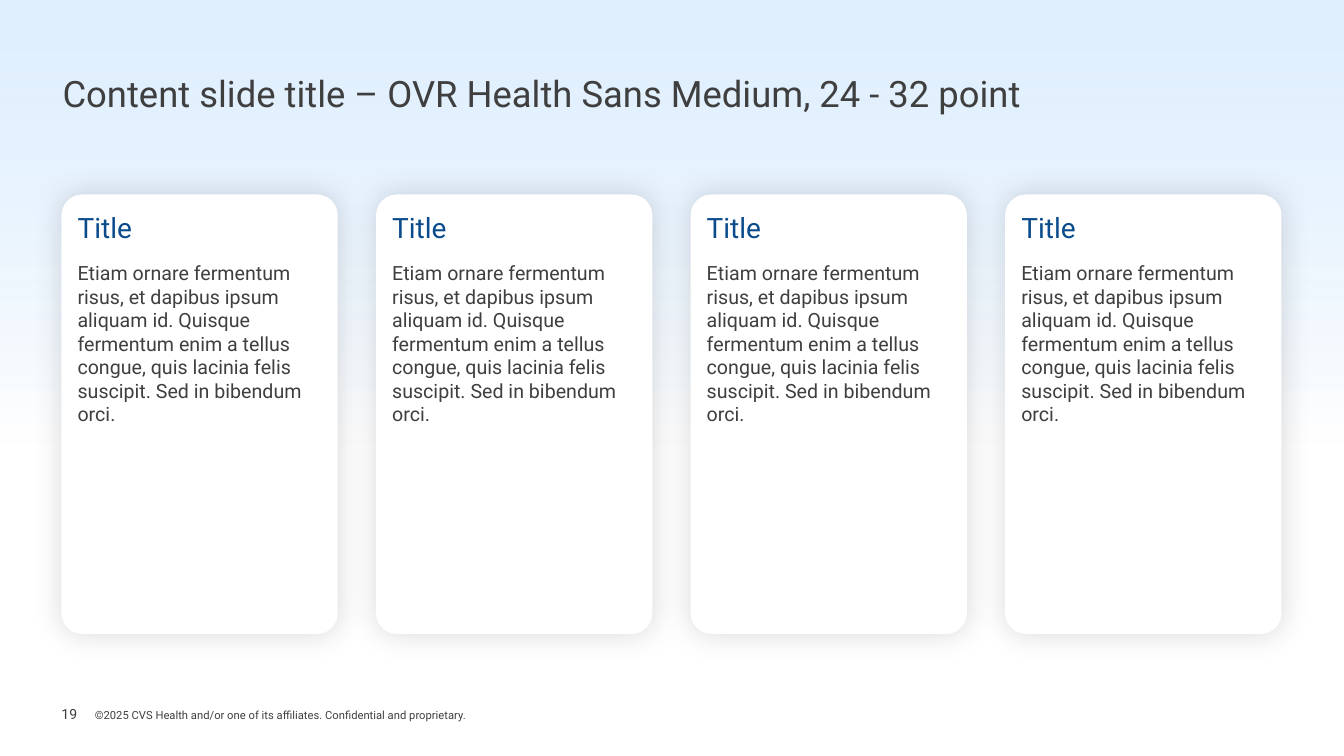
from dataclasses import dataclass

from lxml.etree import SubElement
from pptx import Presentation
from pptx.dml.color import RGBColor
from pptx.enum.shapes import MSO_SHAPE
from pptx.enum.text import MSO_ANCHOR, MSO_AUTO_SIZE, PP_ALIGN
from pptx.oxml import parse_xml
from pptx.oxml.ns import nsdecls, qn
from pptx.util import Inches, Pt

FONT = "Roboto"
GRAY = RGBColor(0x3F, 0x3F, 0x3F)
NAVY = RGBColor(0x0A, 0x4B, 0x8C)
SKY = RGBColor(0xCC, 0xE6, 0xFF)
WHITE = RGBColor(0xFF, 0xFF, 0xFF)

COMPARISON_LAYOUT = 4  # title and four body placeholders
CARD_LEFT, CARD_TOP, CARD_PITCH = 0.61, 1.93, 3.12
CARD_WIDTH, CARD_HEIGHT = 2.74, 4.36
CARD_TEXT = (
    "Etiam ornare fermentum risus, et dapibus ipsum aliquam id. Quisque "
    "fermentum enim a tellus congue, quis lacinia felis suscipit. "
    "Sed in bibendum orci."
)


@dataclass
class Card:
    heading: str
    text: str


@dataclass
class FooterItem:
    text: str
    left: float
    top: float
    width: float
    height: float
    size: float


CARDS = [Card("Title", CARD_TEXT)] * 4
FOOTER = [
    FooterItem("19", 0.61, 6.96, 0.39, 0.25, 10),
    FooterItem(
        "©2025 CVS Health and/or one of its affiliates. Confidential and proprietary.",
        0.94, 7.03, 8.8, 0.13, 8,
    ),
]


def place(shape, left: float, top: float, width: float, height: float) -> None:
    shape.left, shape.top = Inches(left), Inches(top)
    shape.width, shape.height = Inches(width), Inches(height)


def format_frame(frame, margin: float, anchor: MSO_ANCHOR) -> None:
    frame.word_wrap = True
    frame.auto_size = MSO_AUTO_SIZE.NONE
    frame.vertical_anchor = anchor
    frame.margin_left = frame.margin_right = Inches(margin)
    frame.margin_top = frame.margin_bottom = Inches(margin)


def format_paragraph(paragraph, size: float, color: RGBColor, before: float = 0) -> None:
    paragraph.alignment = PP_ALIGN.LEFT
    paragraph.space_before = Pt(before)
    paragraph.font.name = FONT
    paragraph.font.size = Pt(size)
    paragraph.font.bold = False
    paragraph.font.color.rgb = color


def remove_bullet(paragraph) -> None:
    properties = paragraph._p.get_or_add_pPr()
    properties.set("marL", "0")
    properties.set("indent", "0")
    SubElement(properties, qn("a:buNone"))


def add_gradient_band(slide) -> None:
    band = slide.shapes.add_shape(MSO_SHAPE.RECTANGLE, 0, 0, Inches(13.33), Inches(4.4))
    band.shadow.inherit = False
    band.line.fill.background()
    band.fill.gradient()
    band.fill.gradient_angle = 270
    for stop, position, color in zip(band.fill.gradient_stops, (0, 1), (SKY, WHITE)):
        stop.position = position
        stop.color.rgb = color
    sky_color = next(band._element.iter(qn("a:srgbClr")))
    SubElement(sky_color, qn("a:alpha"), val="60000")
    slide.shapes._spTree.insert(2, band._element)  # behind everything else


def format_card_shape(placeholder) -> None:
    properties = placeholder._element.spPr
    properties.append(parse_xml(
        f'<a:prstGeom {nsdecls("a")} prst="roundRect"><a:avLst>'
        '<a:gd name="adj" fmla="val 7500"/></a:avLst></a:prstGeom>'
    ))
    placeholder.fill.solid()
    placeholder.fill.fore_color.rgb = WHITE
    placeholder.line.fill.background()
    properties.append(parse_xml(
        f'<a:effectLst {nsdecls("a")}>'
        f'<a:outerShdw blurRad="{Pt(22)}" dist="0" dir="0" algn="ctr" rotWithShape="0">'
        '<a:srgbClr val="000000"><a:alpha val="14000"/></a:srgbClr>'
        '</a:outerShdw></a:effectLst>'
    ))


def fill_card(placeholder, card: Card, left: float) -> None:
    place(placeholder, left, CARD_TOP, CARD_WIDTH, CARD_HEIGHT)
    format_card_shape(placeholder)
    frame = placeholder.text_frame
    format_frame(frame, 0.1, MSO_ANCHOR.TOP)
    heading = frame.paragraphs[0]
    heading.text = card.heading
    body = frame.add_paragraph()
    body.text = card.text
    body.level = 1
    for paragraph in (heading, body):
        remove_bullet(paragraph)
    format_paragraph(heading, 20, NAVY)
    format_paragraph(body, 14, GRAY, before=12)


def add_footer_item(slide, item: FooterItem) -> None:
    box = slide.shapes.add_textbox(
        Inches(item.left), Inches(item.top), Inches(item.width), Inches(item.height)
    )
    format_frame(box.text_frame, 0, MSO_ANCHOR.MIDDLE)
    paragraph = box.text_frame.paragraphs[0]
    paragraph.text = item.text
    format_paragraph(paragraph, item.size, GRAY)


def main() -> None:
    presentation = Presentation()
    presentation.slide_width = Inches(13.33)
    presentation.slide_height = Inches(7.5)
    slide = presentation.slides.add_slide(presentation.slide_layouts[COMPARISON_LAYOUT])

    # Background and footer
    add_gradient_band(slide)
    for item in FOOTER:
        add_footer_item(slide, item)

    # Title
    title = slide.shapes.title
    place(title, 0.62, 0.75, 12.2, 0.78)
    format_frame(title.text_frame, 0, MSO_ANCHOR.TOP)
    paragraph = title.text_frame.paragraphs[0]
    paragraph.text = "Content slide title – OVR Health Sans Medium, 24 - 32 point"
    paragraph.line_spacing = 0.9
    format_paragraph(paragraph, 26, GRAY)

    # Cards
    bodies = [shape for shape in slide.placeholders if shape.placeholder_format.idx > 0]
    for index, (placeholder, card) in enumerate(zip(bodies, CARDS)):
        fill_card(placeholder, card, CARD_LEFT + index * CARD_PITCH)

    presentation.save("out.pptx")


if __name__ == "__main__":
    main()
